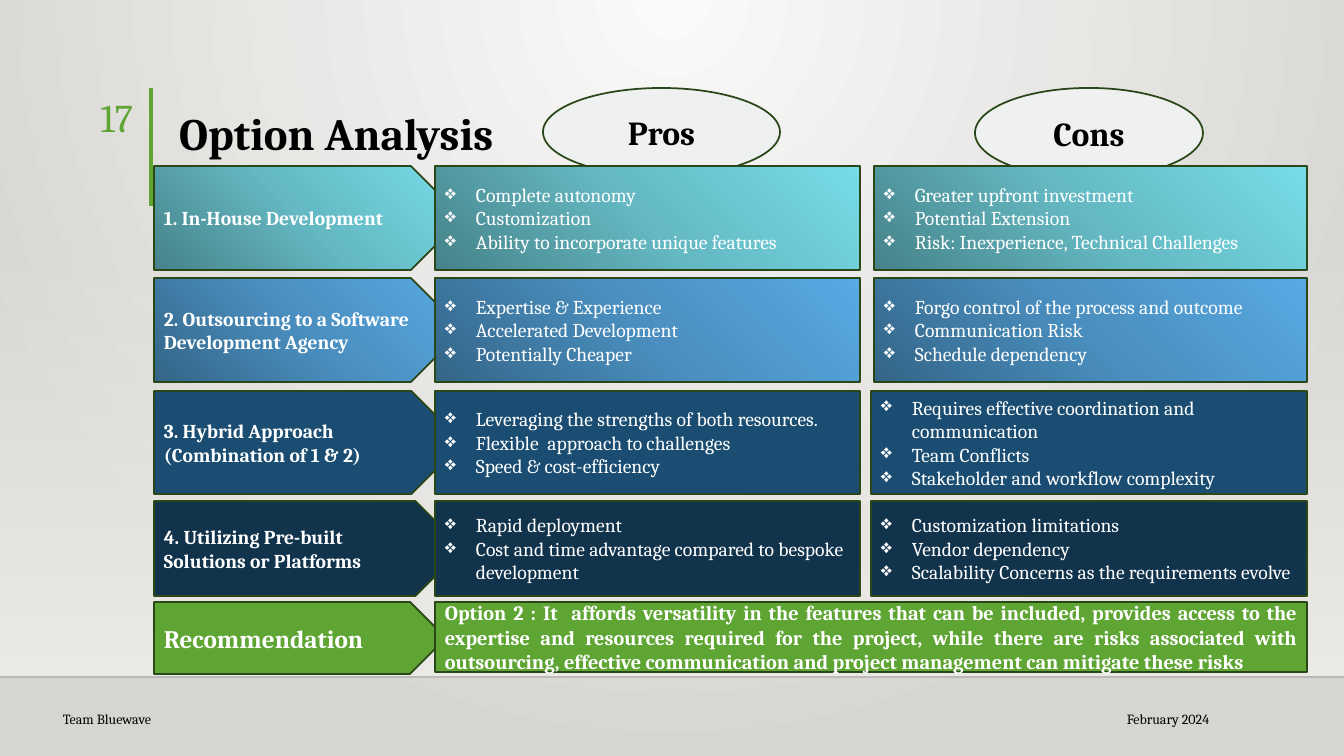
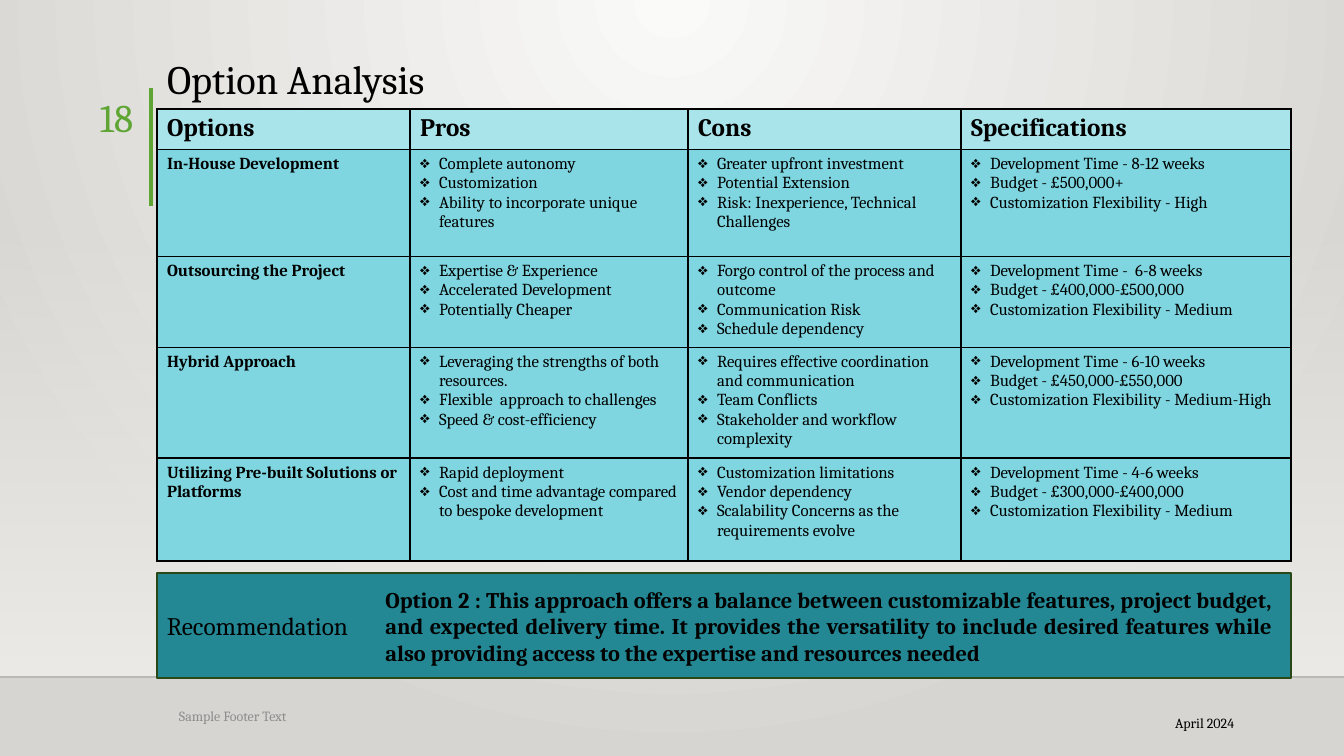
import lxml.etree
import pptx
import pptx.dml.color
import pptx.enum.shapes
import pptx.enum.text
import pptx.oxml.ns
import pptx.util

SHAPE = pptx.enum.shapes.MSO_SHAPE
ALIGN = pptx.enum.text.PP_ALIGN
ANCHOR = pptx.enum.text.MSO_ANCHOR
qn = pptx.oxml.ns.qn

FONT = "Cambria"
EMU_PER_PX = 914400 / 100.8
WIDTH, HEIGHT = 1344, 756
COLORS = {
    "black": "000000", "white": "FFFFFF", "muted": "8C8C8C", "green": "5FA534",
    "outline": "2A4817", "rule": "000001", "band": "EDEBE7", "oval": "EFF1F1",
    "header": "A9E4EB", "body": "7FD6E0", "teal": "238894",
    "blue": "1A4D71", "navy": "12334C",
}
BACKDROP = [(0, "FAFAF9", 100), (100, "D7D5D2", 100)]
BAND = [(0, COLORS["band"], 0), (100, COLORS["band"], 100)]
AQUA = [(0, "478289", 100), (50, "64B9C3", 100), (100, "77DCE8", 100)]
SKY = [(0, "346587", 100), (50, "4A8FC0", 100), (100, "58AAE4", 100)]

OPTIONS = [
    {"step": "1. In-House Development",
     "name": "In-House Development",
     "pros": ["Complete autonomy", "Customization", "Ability to incorporate unique features"],
     "cons": ["Greater upfront investment", "Potential Extension",
              "Risk: Inexperience, Technical Challenges"],
     "specs": ["Development Time - 8-12 weeks", "Budget - £500,000+",
               "Customization Flexibility - High"]},
    {"step": "2. Outsourcing to a Software Development Agency",
     "name": "Outsourcing the Project",
     "pros": ["Expertise & Experience", "Accelerated Development", "Potentially Cheaper"],
     "cons": ["Forgo control of the process and outcome", "Communication Risk",
              "Schedule dependency"],
     "specs": ["Development Time -  6-8 weeks", "Budget - £400,000-£500,000",
               "Customization Flexibility - Medium"]},
    {"step": "3. Hybrid Approach (Combination of 1 & 2)",
     "name": "Hybrid Approach",
     "pros": ["Leveraging the strengths of both resources.", "Flexible  approach to challenges",
              "Speed & cost-efficiency"],
     "cons": ["Requires effective coordination and communication", "Team Conflicts",
              "Stakeholder and workflow complexity"],
     "specs": ["Development Time - 6-10 weeks", "Budget - £450,000-£550,000",
               "Customization Flexibility - Medium-High"]},
    {"step": "4. Utilizing Pre-built Solutions or Platforms",
     "name": "Utilizing Pre-built Solutions or Platforms",
     "pros": ["Rapid deployment", "Cost and time advantage compared to bespoke development"],
     "cons": ["Customization limitations", "Vendor dependency",
              "Scalability Concerns as the requirements evolve"],
     "specs": ["Development Time - 4-6 weeks", "Budget - £300,000-£400,000",
               "Customization Flexibility - Medium"]},
]
TITLE = "Option Analysis"
RECOMMENDATION = "Recommendation"
VERSATILITY = (
    "Option 2 : It  affords versatility in the features that can be included, provides access "
    "to the expertise and resources required for the project, while there are risks associated "
    "with outsourcing, effective communication and project management can mitigate these risks")
BALANCE = (
    "Option 2 : This approach offers a balance between customizable features, project budget, "
    "and expected delivery time. It provides the versatility to include desired features while "
    "also providing access to the expertise and resources needed")

STEP_LEFT, STEP_WIDTH = 154, 309
PROS_LEFT, PROS_WIDTH = 435, 425
CONS_RIGHT = 1307
STEP_ROWS = [(166, 104, 874, AQUA), (278, 104, 874, SKY),
             (391, 103, 871, COLORS["blue"]), (501, 95, 871, COLORS["navy"])]
OVALS = [("Pros", (543, 88, 237, 88)), ("Cons", (975, 88, 228, 90))]

HEADINGS = ["Options", "Pros", "Cons", "Specifications"]
COLUMN_WIDTHS = [253, 278, 273, 330]
ROW_HEIGHTS = [39, 107, 87, 107, 103]
TABLE_LEFT, TABLE_TOP = 157, 109


def px(length):
    return pptx.util.Emu(round(length * EMU_PER_PX))


def box(left, top, width, height):
    return px(left), px(top), px(width), px(height)


def rgb(value):
    return pptx.dml.color.RGBColor.from_string(value)


def add_alpha(color, percent):
    lxml.etree.SubElement(color, qn("a:alpha"), val=str(percent * 1000))


def set_gradient(fill, owner, stops, angle=None):
    fill.gradient()
    gradient = owner.find(".//" + qn("a:gradFill"))
    for child in list(gradient):
        gradient.remove(child)
    stop_list = lxml.etree.SubElement(gradient, qn("a:gsLst"))
    for position, value, opacity in stops:
        stop = lxml.etree.SubElement(stop_list, qn("a:gs"), pos=str(position * 1000))
        color = lxml.etree.SubElement(stop, qn("a:srgbClr"), val=value)
        if opacity < 100:
            add_alpha(color, opacity)
    if angle is None:
        circle = lxml.etree.SubElement(gradient, qn("a:path"), {"path": "circle"})
        lxml.etree.SubElement(circle, qn("a:fillToRect"), l="43000", t="0", r="43000", b="100000")
    else:
        lxml.etree.SubElement(gradient, qn("a:lin"), ang=str(angle * 60000), scaled="0")


def write(frame, lines, size, color="white", bold=False, align=ALIGN.LEFT, indent=0):
    frame.word_wrap = True
    for number, line in enumerate(lines):
        paragraph = frame.paragraphs[0] if number == 0 else frame.add_paragraph()
        paragraph.text = line
        paragraph.alignment = align
        if indent:
            properties = paragraph._p.get_or_add_pPr()
            properties.set("marL", str(px(indent)))
            properties.set("indent", str(-px(indent)))
            lxml.etree.SubElement(properties, qn("a:buChar"), char="❖")
        paragraph.font.name = FONT
        paragraph.font.size = pptx.util.Pt(size)
        paragraph.font.bold = bold
        paragraph.font.color.rgb = rgb(COLORS[color])


def add_panel(slide, preset, place, fill, lines=(), size=14, outline="outline", **style):
    panel = slide.shapes.add_shape(preset, *box(*place))
    panel.shadow.inherit = False
    if isinstance(fill, str):
        panel.fill.solid()
        panel.fill.fore_color.rgb = rgb(fill)
    else:
        set_gradient(panel.fill, panel._element.spPr, fill, 90 if fill is BAND else 315)
    if outline:
        panel.line.color.rgb = rgb(COLORS[outline])
        panel.line.width = pptx.util.Pt(1.25)
    else:
        panel.line.fill.background()
    panel.text_frame.vertical_anchor = ANCHOR.MIDDLE
    write(panel.text_frame, lines, size, **style)


def add_rule(slide, start, end, color, width, opacity=100):
    rule = slide.shapes.add_connector(pptx.enum.shapes.MSO_CONNECTOR.STRAIGHT,
                                      *map(px, start + end))
    rule.line.color.rgb = rgb(COLORS[color])
    rule.line.width = pptx.util.Pt(width)
    properties = rule._element.spPr
    if opacity < 100:
        add_alpha(properties.find(".//" + qn("a:srgbClr")), opacity)
    lxml.etree.SubElement(properties, qn("a:effectLst"))


def add_label(slide, place, text, size=10, color="black", align=ALIGN.LEFT, anchor=ANCHOR.MIDDLE):
    label = slide.shapes.add_textbox(*box(*place))
    label.text_frame.vertical_anchor = anchor
    write(label.text_frame, [text], size, color, align=align)


def start_slide(deck, number, title_place, title_size, title_bold):
    slide = deck.slides.add_slide(deck.slide_layouts.get_by_name("Title Only"))
    add_panel(slide, SHAPE.RECTANGLE, (0, 222, WIDTH, 454), BAND, outline=None)
    add_rule(slide, (0, 677), (WIDTH, 677), "rule", 1, 20)
    add_rule(slide, (151, 88), (151, 206), "green", 3)
    title = slide.shapes.title
    title.left, title.top, title.width, title.height = box(*title_place)
    title.text_frame.auto_size = pptx.enum.text.MSO_AUTO_SIZE.NONE
    title.text_frame.vertical_anchor = ANCHOR.BOTTOM
    write(title.text_frame, [TITLE], title_size, "black", title_bold)
    title.text_frame.paragraphs[0].line_spacing = 0.9
    add_label(slide, (53, 88, 90, 55), number, 28, "green", ALIGN.RIGHT, ANCHOR.TOP)
    return slide


def build_overview(deck):
    slide = start_slide(deck, "17", (169, 88, 372, 77), 32, True)
    add_label(slide, (833, 702, 386, 34), "February 2024", align=ALIGN.RIGHT)
    add_label(slide, (53, 702, 645, 34), "Team Bluewave")
    for option, (top, height, _, fill) in zip(OPTIONS, STEP_ROWS):
        add_panel(slide, SHAPE.PENTAGON, (STEP_LEFT, top, STEP_WIDTH, height), fill,
                  [option["step"]], bold=True)
    add_panel(slide, SHAPE.PENTAGON, (STEP_LEFT, 602, 292, 72), COLORS["green"],
              [RECOMMENDATION], 18, bold=True)
    for heading, place in OVALS:
        add_panel(slide, SHAPE.OVAL, place, COLORS["oval"], [heading], 24,
                  color="black", bold=True, align=ALIGN.CENTER)
    for option, (top, height, cons_left, fill) in zip(OPTIONS, STEP_ROWS):
        for side, left, right in (("pros", PROS_LEFT, PROS_LEFT + PROS_WIDTH),
                                  ("cons", cons_left, CONS_RIGHT)):
            add_panel(slide, SHAPE.RECTANGLE, (left, top, right - left, height), fill,
                      option[side], indent=31)
    add_panel(slide, SHAPE.RECTANGLE, (PROS_LEFT, 602, CONS_RIGHT - PROS_LEFT, 70),
              COLORS["green"], [VERSATILITY], 14.5, bold=True, align=ALIGN.JUSTIFY)


def fill_cell(cell, fill, lines, size, **style):
    properties = cell._tc.get_or_add_tcPr()
    for side in ("a:lnL", "a:lnR", "a:lnT", "a:lnB"):
        border = lxml.etree.SubElement(properties, qn(side), w=str(pptx.util.Pt(1)))
        solid = lxml.etree.SubElement(border, qn("a:solidFill"))
        lxml.etree.SubElement(solid, qn("a:srgbClr"), val=COLORS["black"])
    cell.fill.solid()
    cell.fill.fore_color.rgb = rgb(COLORS[fill])
    write(cell.text_frame, lines, size, "black", **style)


def build_comparison(deck):
    slide = start_slide(deck, "18", (157, 53, 1061, 55), 28.8, False)
    table_width = sum(COLUMN_WIDTHS)
    comparison = slide.shapes.add_table(
        len(ROW_HEIGHTS), len(COLUMN_WIDTHS),
        *box(TABLE_LEFT, TABLE_TOP, table_width, sum(ROW_HEIGHTS))).table
    for column, width in zip(comparison.columns, COLUMN_WIDTHS):
        column.width = px(width)
    for row, height in zip(comparison.rows, ROW_HEIGHTS):
        row.height = px(height)
    for column, heading in enumerate(HEADINGS):
        fill_cell(comparison.cell(0, column), "header", [heading], 18, bold=True)
    for row, option in enumerate(OPTIONS, 1):
        fill_cell(comparison.cell(row, 0), "body", [option["name"]], 12, bold=True)
        for column, topic in enumerate(("pros", "cons", "specs"), 1):
            fill_cell(comparison.cell(row, column), "body", option[topic], 12, indent=19)
    add_label(slide, (169, 699, 645, 34), "Sample Footer Text", color="muted")
    add_panel(slide, SHAPE.RECTANGLE, (TABLE_LEFT, 573, table_width, 105), COLORS["teal"],
              [RECOMMENDATION], 18, color="black")
    add_panel(slide, SHAPE.ROUNDED_RECTANGLE, (371, 580, 916, 92), COLORS["teal"], [BALANCE], 16,
              outline="teal", color="black", bold=True, align=ALIGN.JUSTIFY)
    add_label(slide, (858, 706, 386, 34), "April 2024", align=ALIGN.RIGHT)


def main():
    deck = pptx.Presentation()
    deck.slide_width, deck.slide_height = px(WIDTH), px(HEIGHT)
    master = deck.slide_master
    set_gradient(master.background.fill, master._element, BACKDROP)
    build_overview(deck)
    build_comparison(deck)
    deck.save("out.pptx")


if __name__ == "__main__":
    main()
